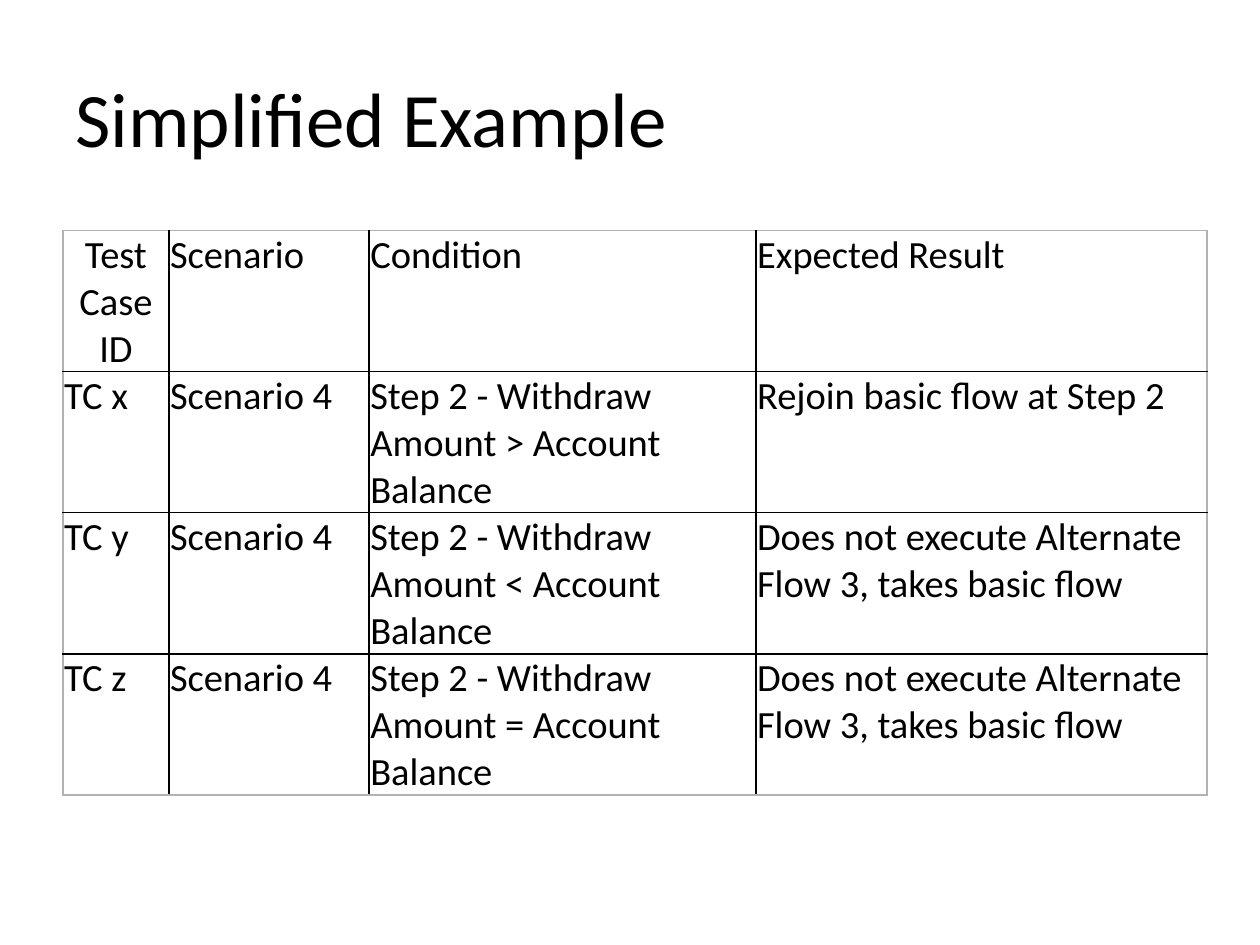
from dataclasses import dataclass

from lxml import etree
from pptx import Presentation
from pptx.dml.color import RGBColor
from pptx.enum.text import MSO_ANCHOR, PP_ALIGN
from pptx.oxml.ns import qn
from pptx.util import Pt

LEFT, CENTER = PP_ALIGN.LEFT, PP_ALIGN.CENTER
TOP, MIDDLE = MSO_ANCHOR.TOP, MSO_ANCHOR.MIDDLE
PX = 9144


@dataclass(frozen=True)
class Theme:
    font: str = "Calibri"
    ink: str = "000000"
    inner_line: str = "000000"
    outer_line: str = "B2B2B2"
    title_size: int = 44
    cell_size: int = 22
    line_width: int = 1


def px(n):
    return n * PX


def apply(obj, values):
    for name, value in values.items():
        setattr(obj, name, value)


class Deck:
    def __init__(self, theme, width, height):
        self.theme = theme
        self.prs = Presentation()
        apply(self.prs, {"slide_width": px(width), "slide_height": px(height)})
        self.slide = self.prs.slides.add_slide(self.prs.slide_layouts[6])

    def text(self, tf, words, size, align=LEFT):
        p = tf.paragraphs[0]
        p.alignment = align
        r = p.add_run()
        r.text = words
        apply(r.font, {"name": self.theme.font, "size": Pt(size), "bold": False})
        r.font.color.rgb = RGBColor.from_string(self.theme.ink)

    def title(self, words, x, y, w, h):
        sp = self.slide.shapes.add_textbox(px(x), px(y), px(w), px(h))
        tf = sp.text_frame
        apply(tf, {"word_wrap": True, "vertical_anchor": MIDDLE})
        self.text(tf, words, self.theme.title_size)

    def border(self, cell, side, color):
        ln = etree.SubElement(cell._tc.get_or_add_tcPr(), qn(f"a:ln{side}"),
                              w=str(Pt(self.theme.line_width)))
        fill = etree.SubElement(ln, qn("a:solidFill"))
        etree.SubElement(fill, qn("a:srgbClr"), val=color)

    def table(self, rows, x, y, col_widths, row_height, inset):
        n_rows, n_cols = len(rows), len(col_widths)
        frame = self.slide.shapes.add_table(
            n_rows, n_cols, px(x), px(y), px(sum(col_widths)), px(row_height * n_rows))
        tbl = frame.table
        apply(tbl, {"first_row": False, "horz_banding": False})
        for col, width in zip(tbl.columns, col_widths):
            col.width = px(width)
        sides = ("left", "right", "top", "bottom")
        cell_format = {f"margin_{side}": px(inset) for side in sides}
        cell_format["vertical_anchor"] = TOP
        for i, row in enumerate(rows):
            tbl.rows[i].height = px(row_height)
            for j, words in enumerate(row):
                cell = tbl.cell(i, j)
                apply(cell, cell_format)
                outer = {"L": j == 0, "R": j == n_cols - 1,
                         "T": i == 0, "B": i == n_rows - 1}
                for side, is_outer in outer.items():
                    self.border(cell, side, self.theme.outer_line if is_outer
                                else self.theme.inner_line)
                cell.fill.background()
                align = CENTER if i == j == 0 else LEFT
                self.text(cell.text_frame, words, self.theme.cell_size, align)


def main():
    deck = Deck(Theme(), 1000, 750)
    deck.title("Simplified Example", 50, 30, 900, 125)
    basic_flow = "Does not execute Alternate Flow 3, takes basic flow"
    cases = [
        ("x", ">", "Rejoin basic flow at Step 2"),
        ("y", "<", basic_flow),
        ("z", "=", basic_flow),
    ]
    rows = [("Test Case ID", "Scenario", "Condition", "Expected Result")]
    rows += [(f"TC {case}", "Scenario 4",
              f"Step 2 - Withdraw Amount {sign} Account Balance", result)
             for case, sign, result in cases]
    deck.table(rows, 50, 183, (84, 159, 307, 358), 110, 1)
    deck.prs.save("out.pptx")


if __name__ == "__main__":
    main()
